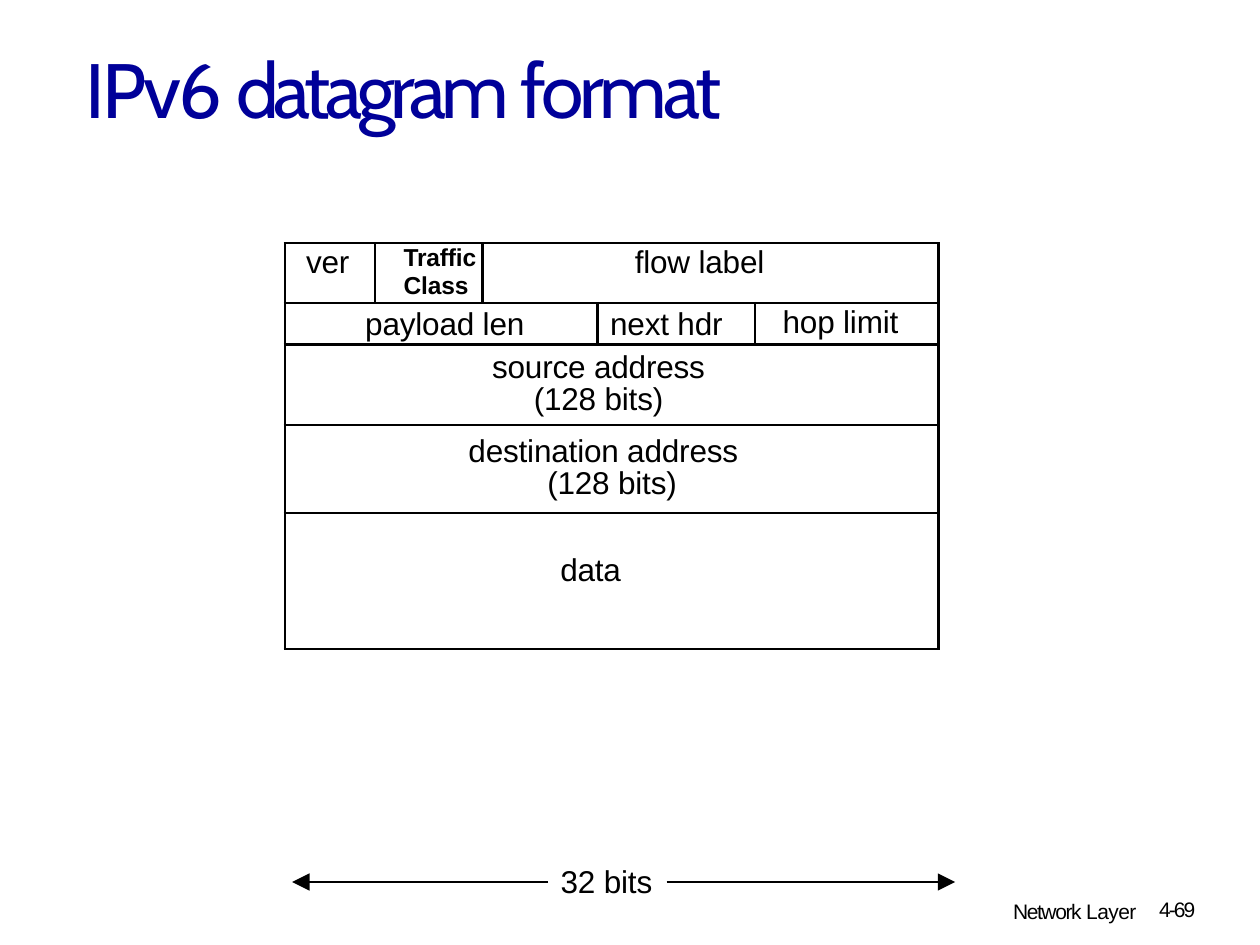
from dataclasses import dataclass

from lxml.etree import SubElement
from pptx import Presentation
from pptx.dml.color import RGBColor
from pptx.enum.shapes import MSO_CONNECTOR
from pptx.enum.text import MSO_ANCHOR, MSO_AUTO_SIZE, PP_ALIGN
from pptx.oxml.ns import qn
from pptx.util import Pt

COLORS = {"title": "000099", "ink": "000000"}
TABLE_LEFT, TABLE_TOP = 162.7, 139
COLUMN_WIDTHS = [51.4, 61.7, 65.7, 89.8, 105.1]
ROW_HEIGHTS = [34.2, 23.6, 46, 50.4, 77.8]


@dataclass
class Field:
    """A header field; first and last are the columns it spans."""
    row: int
    first: int
    last: int
    text: str
    left: float = 0
    right: float = 0
    top: float = 1
    before: float = 1
    spacing: float = None
    size: float = 18
    bold: bool = False
    align: PP_ALIGN = PP_ALIGN.LEFT
    hanging: float = 0


FIELDS = [
    Field(0, 0, 0, "ver", left=12.2),
    Field(0, 1, 1, "Traffic Class", left=16.6, top=0.7, before=0.5, size=14, bold=True),
    Field(0, 2, 4, "flow label", right=12.6, before=1.6, align=PP_ALIGN.CENTER),
    Field(1, 0, 2, "payload len", left=46, spacing=21.5),
    Field(1, 3, 3, "next hdr", left=7.2, top=1.4, before=1.6, spacing=20.9),
    Field(1, 4, 4, "hop limit", left=16, before=0.5),
    Field(2, 0, 4, "source address\v(128 bits)", right=15, top=5, before=5.2,
          spacing=18.4, align=PP_ALIGN.CENTER),
    Field(3, 0, 4, "destination address\v(128 bits)", left=150, top=7.2, before=7.2,
          spacing=18.3, hanging=45),
    Field(4, 0, 4, "data", right=24, top=23, before=0, align=PP_ALIGN.CENTER),
]


def format_span(span, size, color="ink", font="Arial", tracking=-0.1, bold=False):
    span.font.size = Pt(size)
    span.font.name = font
    span.font.bold = bold
    span.font.color.rgb = RGBColor.from_string(COLORS[color])
    span._r.get_or_add_rPr().set("spc", str(round(tracking * 100)))


def fill_text(shape, pieces, size, top, before, color="ink", font="Arial"):
    """Write (text, tracking) pieces as one left-aligned line."""
    frame = shape.text_frame
    frame.word_wrap = True
    frame.auto_size = MSO_AUTO_SIZE.NONE
    frame.vertical_anchor = MSO_ANCHOR.TOP
    frame.margin_left = Pt(0.7)
    frame.margin_top = Pt(top)
    frame.margin_right = frame.margin_bottom = 0
    para = frame.paragraphs[0]
    para.alignment = PP_ALIGN.LEFT
    para.space_before = Pt(before)
    for text, tracking in pieces:
        span = para.add_run()
        span.text = text
        format_span(span, size, color, font, tracking)


def add_title(page):
    title = page.shapes.title
    title.left, title.top, title.width, title.height = Pt(48.2), Pt(23), Pt(385), Pt(54.7)
    pieces = [("IPv6 ", -1.7), ("datagram ", -3), ("format", -2.4)]
    fill_text(title, pieces, 44, 1, 1, "title", "Cabin")


def add_label(page, left, top, width, height, pieces, size, inset, before):
    box = page.shapes.add_textbox(Pt(left), Pt(top), Pt(width), Pt(height))
    fill_text(box, pieces, size, inset, before)


def set_borders(cell, width=1.5):
    properties = cell._tc.get_or_add_tcPr()
    for side in ("a:lnL", "a:lnR", "a:lnT", "a:lnB"):
        line = SubElement(properties, qn(side), w=str(Pt(width)))
        fill = SubElement(line, qn("a:solidFill"))
        SubElement(fill, qn("a:srgbClr"), val=COLORS["ink"])


def fill_field(table, field):
    cell = table.cell(field.row, field.first)
    if field.last > field.first:
        cell.merge(table.cell(field.row, field.last))
    cell.margin_left, cell.margin_right = Pt(field.left), Pt(field.right)
    cell.margin_top, cell.margin_bottom = Pt(field.top), 0
    para = cell.text_frame.paragraphs[0]
    para.text = field.text
    para.alignment = field.align
    para.space_before = Pt(field.before)
    if field.spacing:
        para.line_spacing = Pt(field.spacing)
    if field.hanging:
        cell.margin_left = 0
        properties = para._p.get_or_add_pPr()
        properties.set("marL", str(Pt(field.left)))
        properties.set("indent", str(-Pt(field.hanging)))
    for span in para.runs:
        format_span(span, field.size, bold=field.bold)


def add_header_table(page):
    frame = page.shapes.add_table(
        len(ROW_HEIGHTS), len(COLUMN_WIDTHS), Pt(TABLE_LEFT), Pt(TABLE_TOP),
        Pt(sum(COLUMN_WIDTHS)), Pt(sum(ROW_HEIGHTS)))
    table = frame.table
    table.first_row = table.horz_banding = False
    for column, width in zip(table.columns, COLUMN_WIDTHS):
        column.width = Pt(width)
    for row, height in zip(table.rows, ROW_HEIGHTS):
        row.height = Pt(height)
    for cell in table.iter_cells():
        set_borders(cell)
        cell.fill.background()
        cell.margin_left = cell.margin_right = cell.margin_top = cell.margin_bottom = 0
    for field in FIELDS:
        fill_field(table, field)


def add_arrow(page, start, end, y):
    arrow = page.shapes.add_connector(
        MSO_CONNECTOR.STRAIGHT, Pt(start), Pt(y), Pt(end), Pt(y))
    arrow.line.width = Pt(1)
    arrow.line.color.rgb = RGBColor.from_string(COLORS["ink"])
    SubElement(arrow.line._get_or_add_ln(), qn("a:tailEnd"),
               type="triangle", w="lg", len="lg")
    SubElement(arrow._element.spPr, qn("a:effectLst"))


def main():
    deck = Presentation()
    deck.slide_width, deck.slide_height = Pt(720), Pt(540)
    page = deck.slides.add_slide(deck.slide_layouts[5])
    add_title(page)
    add_header_table(page)
    add_arrow(page, 313.2, 167, 504)
    add_arrow(page, 380.9, 545.8, 504)
    add_label(page, 319.7, 491.8, 56, 23.8, [("32 bits", -0.1)], 18, 1, 1)
    add_label(page, 578.2, 511.2, 79.2, 18,
              [("Network ", -0.8), ("Layer", -0.3)], 12, 2, 1.8)
    add_label(page, 661.7, 510.5, 28.1, 18, [("4-69", -1.1)], 12, 2, 1.8)
    deck.save("out.pptx")


if __name__ == "__main__":
    main()
